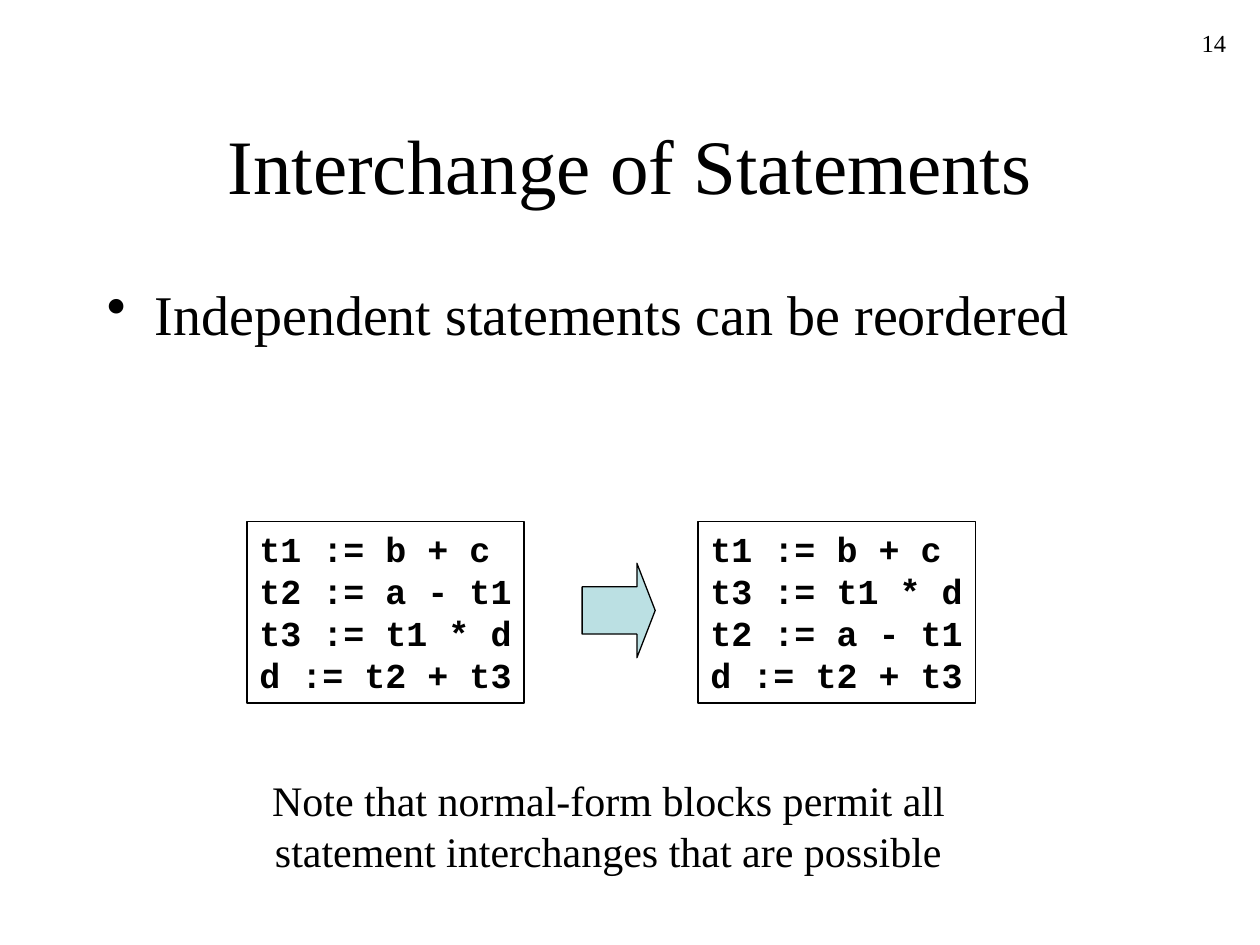
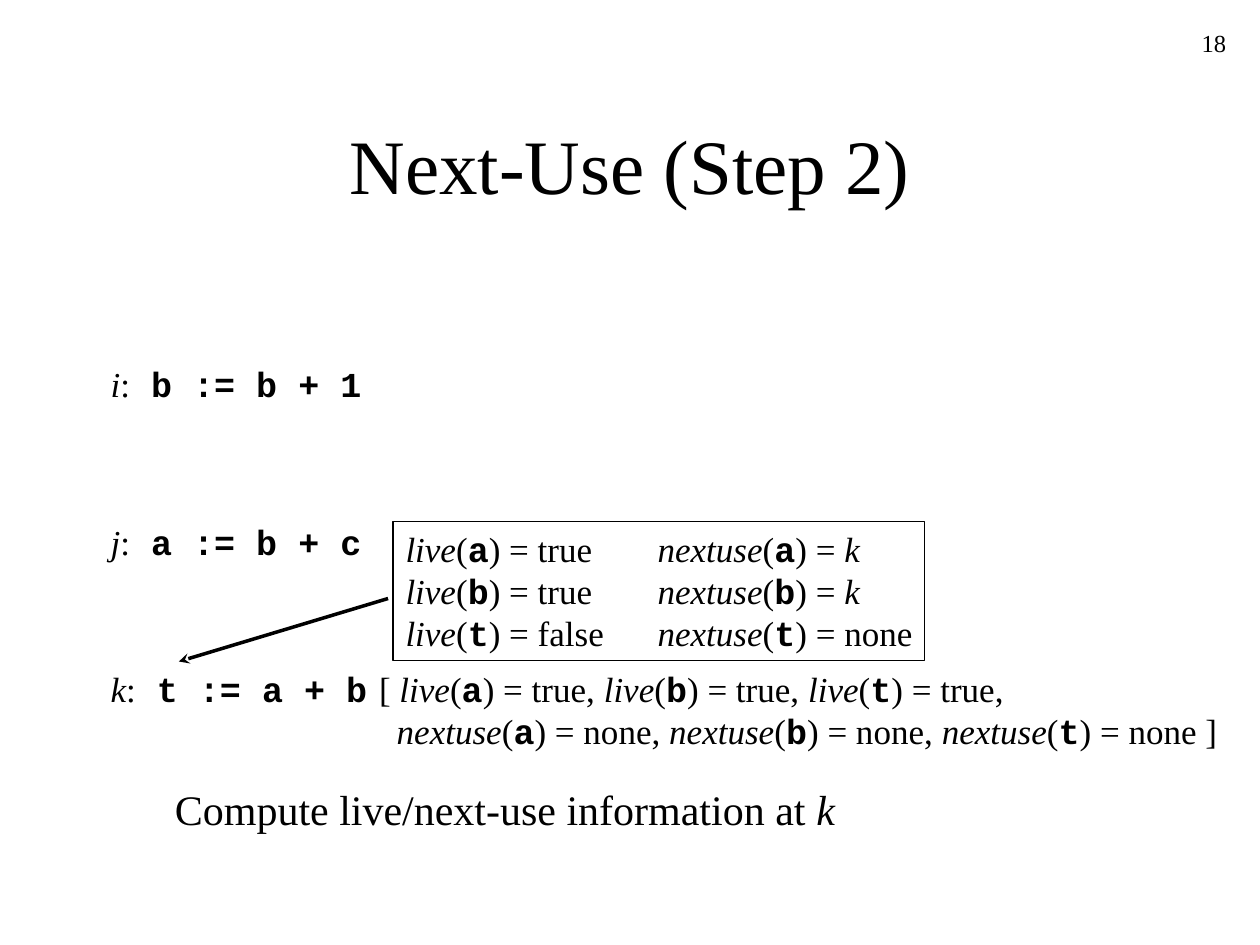
from lxml.etree import SubElement
from pptx import Presentation
from pptx.dml.color import RGBColor
from pptx.enum.shapes import MSO_CONNECTOR, MSO_SHAPE
from pptx.enum.text import MSO_ANCHOR, PP_ALIGN
from pptx.oxml.ns import qn
from pptx.util import Inches, Pt


def color(code):
    """Turn a hex string into a colour."""
    return RGBColor.from_string(code)


class Deck:
    """Hold the style and the current slide."""

    ink, tint = "000000", "BBE0E3"
    serif, mono = "Times New Roman", "Courier New"

    def __init__(self):
        """Start an empty deck of 10 by 7.5 inches."""
        self.file = Presentation()
        self.file.slide_width, self.file.slide_height = Inches(10), Inches(7.5)
        self.slide = None

    def page(self, num, title):
        """Add a slide with its number and title."""
        self.slide = self.file.slides.add_slide(self.file.slide_layouts[6])
        self.text(7.75, 0.17, 2.08, 0.5, num, 14, PP_ALIGN.RIGHT, wrap=True)
        frame = self.text(0.75, 0.67, 8.5, 1.25, title, 44, PP_ALIGN.CENTER, wrap=True)
        frame.vertical_anchor = MSO_ANCHOR.MIDDLE

    def run(self, para, text, size, code=False, slant=False):
        """Add one styled run to a paragraph."""
        run = para.add_run()
        run.text = text
        font = run.font
        font.name = self.mono if code else self.serif
        font.size, font.bold, font.italic = Pt(size), code, slant
        font.color.rgb = color(self.ink)

    def put(self, frame, text, size, align=PP_ALIGN.LEFT, wrap=False):
        """Fill a frame; backticks mark code and underscores mark italics."""
        frame.word_wrap = wrap
        frame.vertical_anchor = MSO_ANCHOR.TOP
        for row, line in enumerate(text.split("\n")):
            para = frame.add_paragraph() if row else frame.paragraphs[0]
            para.alignment = align
            for odd, part in enumerate(line.split("`")):
                bits = [part] if odd % 2 else part.split("_")
                for slant, bit in enumerate(bits):
                    if bit:
                        self.run(para, bit, size, odd % 2 == 1, slant % 2 == 1)
        return frame

    def text(self, left, top, width, height, text, size, align=PP_ALIGN.LEFT, wrap=False):
        """Add a text box."""
        box = self.slide.shapes.add_textbox(*map(Inches, (left, top, width, height)))
        return self.put(box.text_frame, text, size, align, wrap)

    def shape(self, kind, left, top, width, height, fill=None):
        """Add a thinly outlined preset shape."""
        shape = self.slide.shapes.add_shape(kind, *map(Inches, (left, top, width, height)))
        shape.shadow.inherit = False
        shape.line.color.rgb, shape.line.width = color(self.ink), Pt(0.75)
        if fill:
            shape.fill.solid()
            shape.fill.fore_color.rgb = color(fill)
        else:
            shape.fill.background()
        return shape

    def panel(self, left, top, width, height, text):
        """Add a framed block of text."""
        box = self.shape(MSO_SHAPE.RECTANGLE, left, top, width, height)
        return self.put(box.text_frame, text, 20)

    def bullet(self, para):
        """Give a paragraph a hanging bullet."""
        props = para._p.get_or_add_pPr()
        props.set("marL", str(Inches(0.38)))
        props.set("indent", str(Inches(-0.38)))
        SubElement(props, qn("a:buChar"), char="•")

    def tab(self, para, place):
        """Set a left tab stop."""
        stops = SubElement(para._p.get_or_add_pPr(), qn("a:tabLst"))
        SubElement(stops, qn("a:tab"), pos=str(Inches(place)), algn="l")

    def arrow(self, *ends):
        """Draw a line with a stealth head at its end."""
        line = self.slide.shapes.add_connector(MSO_CONNECTOR.STRAIGHT, *map(Inches, ends))
        line.line.color.rgb, line.line.width = color(self.ink), Pt(2)
        props = line._element.spPr
        SubElement(props.get_or_add_ln(), qn("a:tailEnd"), type="stealth")
        SubElement(props, qn("a:effectLst"))


def swap(deck):
    """Build the slide on swapping statements."""
    deck.page("14", "Interchange of Statements")
    body = deck.text(0.75, 2.17, 8.5, 4.5, "Independent statements can be reordered", 32, wrap=True)
    deck.bullet(body.paragraphs[0])
    first, second, third, last = "t1 := b + c", "t2 := a - t1", "t3 := t1 * d", "d := t2 + t3"
    orders = (first, second, third, last), (first, third, second, last)
    for left, order in zip((1.96, 5.54), orders):
        deck.panel(left, 4.14, 2.2, 1.44, "\n".join(f"`{step}`" for step in order))
    arrow = deck.shape(MSO_SHAPE.RIGHT_ARROW, 4.62, 4.47, 0.58, 0.75, deck.tint)
    arrow.adjustments[0], arrow.adjustments[1] = 0.5, 0.25
    note = "Note that normal-form blocks permit all\nstatement interchanges that are possible"
    deck.text(2.06, 6.1, 5.54, 0.9, note, 24, PP_ALIGN.CENTER)


def trace(deck):
    """Build the slide on next-use step two."""
    deck.page("18", "Next-Use (Step 2)")
    steps = (("i", "b := b + 1", 2.83, 2.19), ("j", "a := b + c", 4.08, 2.19),
             ("k", "t := a + b", 5.25, 2.24))
    for label, code, top, width in steps:
        deck.text(0.78, top, width, 0.44, f"_{label}_:` {code}`", 20)
    deck.arrow(3.08, 4.75, 1.42, 5.25)
    live = ", ".join(f"_live_(`{name}`) = true" for name in "abt")
    uses = ", ".join(f"_nextuse_(`{name}`) = none" for name in "abt")
    info = deck.text(2.91, 5.25, 6.85, 0.77, f"[ {live},\n{uses} ]", 20)
    info.paragraphs[1]._p.get_or_add_pPr().set("marL", str(Inches(0.14)))
    facts = ("a", "true", "_k_"), ("b", "true", "_k_"), ("t", "false", "none")
    rows = [f"_live_(`{name}`) = {state}\t_nextuse_(`{name}`) = {use}" for name, state, use in facts]
    table = deck.panel(3.12, 4.14, 4.22, 1.1, "\n".join(rows))
    for para in table.paragraphs:
        deck.tab(para, 2)
    deck.text(1.29, 6.17, 5.44, 0.5, "Compute live/next-use information at _k_", 24)


def main():
    """Build and save the deck."""
    deck = Deck()
    swap(deck)
    trace(deck)
    deck.file.save("out.pptx")


if __name__ == "__main__":
    main()
